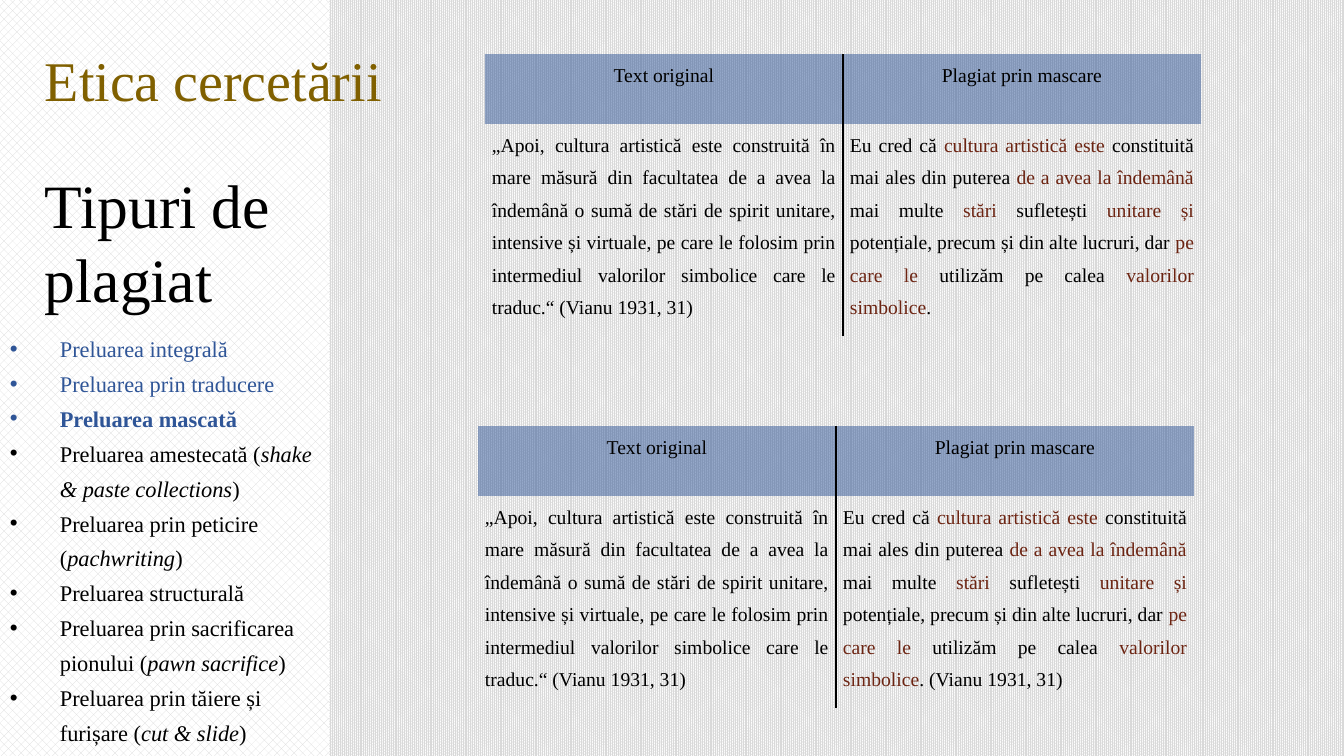
from lxml.etree import SubElement
from pptx import Presentation
from pptx.dml.color import RGBColor
from pptx.enum.dml import MSO_PATTERN as PATTERN
from pptx.enum.shapes import MSO_SHAPE as SHAPE
from pptx.enum.text import PP_ALIGN as ALIGN
from pptx.oxml.ns import qn
from pptx.util import Emu, Pt

FONT = "Times New Roman"
BLACK, BLUE, GOLD, RUST = "000000", "2F5597", "806000", "6C2412"
GREY, WHITE = "D9D9D9", "FFFFFF"
NO_STYLE = "{2D5ABB26-0587-4C30-8999-92F81FD0307C}"

# Asterisks enclose words in italics
TYPES = [
    ("Preluarea integrală", BLUE, False),
    ("Preluarea prin traducere", BLUE, False),
    ("Preluarea mascată", BLUE, True),
    ("Preluarea amestecată (*shake & paste collections*)", BLACK, False),
    ("Preluarea prin peticire (*pachwriting*)", BLACK, False),
    ("Preluarea structurală", BLACK, False),
    ("Preluarea prin sacrificarea pionului (*pawn sacrifice*)", BLACK, False),
    ("Preluarea prin tăiere și furișare (*cut & slide*)", BLACK, False),
]
HEADINGS = ["Text original", "Plagiat prin mascare"]
SOURCE = (
    "„Apoi, cultura artistică este construită în mare măsură din facultatea "
    "de a avea la îndemână o sumă de stări de spirit unitare, intensive și "
    "virtuale, pe care le folosim prin intermediul valorilor simbolice care "
    "le traduc.“ (Vianu 1931, 31)"
)
# Asterisks enclose the borrowed words
MASKED = (
    "Eu cred că *cultura artistică este *constituită mai ales din puterea "
    "*de a avea la îndemână *mai multe *stări* sufletești *unitare și "
    "*potențiale, precum și din alte lucruri, dar *pe care le* utilizăm pe "
    "calea *valorilor simbolice*."
)


def px(n):
    return Emu(round(n * 914400 / 100.8))


def rgb(value):
    return RGBColor.from_string(value)


def set_pattern(fill, preset):
    fill.patterned()
    fill.pattern = PATTERN.from_xml(preset)
    fill.fore_color.rgb = rgb(GREY)
    fill.back_color.rgb = rgb(WHITE)


def write(p, text, size=14, color=BLACK, bold=False, marked_color=None,
          align=ALIGN.LEFT, spacing=None):
    """Marked words take marked_color, or italics when there is none."""
    p.alignment = align
    if spacing:
        p.line_spacing = spacing
    for i, part in enumerate(text.split("*")):
        if not part:
            continue
        marked = i % 2 == 1
        r = p.add_run()
        r.text = part
        r.font.name = FONT
        r.font.size = Pt(size)
        r.font.bold = bold
        r.font.italic = marked and marked_color is None
        r.font.color.rgb = rgb(marked_color if marked and marked_color else color)


def add_text_frame(slide, x, y, w, h):
    tf = slide.shapes.add_textbox(px(x), px(y), px(w), px(h)).text_frame
    tf.word_wrap = True
    return tf


def add_bullet(p, indent):
    pPr = p._p.get_or_add_pPr()
    pPr.set("marL", str(px(indent)))
    pPr.set("indent", str(-px(indent)))
    SubElement(pPr, qn("a:buFont"), typeface="Arial")
    SubElement(pPr, qn("a:buChar"), char="•")


def add_sidebar(slide, x, y, w, h):
    panel = slide.shapes.add_shape(SHAPE.RECTANGLE, px(x), px(y), px(w), px(h))
    panel.shadow.inherit = False
    panel.line.fill.background()
    set_pattern(panel.fill, "pct40")

    # Headings
    tf = add_text_frame(slide, x + 35, y + 164, w - 35, 159)
    write(tf.paragraphs[0], "Tipuri de plagiat", size=44)
    tf = add_text_frame(slide, x + 35, y + 43, 885, 78)
    write(tf.paragraphs[0], "Etica cercetării", size=40, color=GOLD)

    # List of types
    tf = add_text_frame(slide, x, y + 324, w, 431)
    for i, (text, color, bold) in enumerate(TYPES):
        p = tf.add_paragraph() if i else tf.paragraphs[0]
        write(p, text, size=16, color=color, bold=bold, spacing=1.3)
        add_bullet(p, 50)


def add_border(cell, side):
    tcPr = cell._tc.get_or_add_tcPr()
    ln = SubElement(tcPr, qn("a:" + side), w=str(Pt(1)))
    SubElement(SubElement(ln, qn("a:solidFill")), qn("a:srgbClr"), val=BLACK)
    tcPr.insert(0, ln)


def fill_header(cell):
    cell.fill.solid()
    cell.fill.fore_color.rgb = rgb(BLUE)
    color = cell._tc.tcPr.find(".//" + qn("a:srgbClr"))
    SubElement(color, qn("a:alpha"), val="50000")


def add_comparison(slide, x, y, w, heights, masked):
    frame = slide.shapes.add_table(2, 2, px(x), px(y), px(w), px(sum(heights)))
    table = frame.table
    table.first_row = table.horz_banding = False
    table._tbl.tblPr.find(qn("a:tableStyleId")).text = NO_STYLE
    for row, height in zip(table.rows, heights):
        row.height = px(height)

    for i, texts in enumerate([HEADINGS, [SOURCE, masked]]):
        for j, text in enumerate(texts):
            cell = table.cell(i, j)
            cell.margin_left = cell.margin_right = px(7)
            cell.margin_top = cell.margin_bottom = 0
            if i == 0:
                fill_header(cell)
            else:
                cell.fill.background()
            add_border(cell, "lnL" if j else "lnR")
            write(cell.text_frame.paragraphs[0], text, marked_color=RUST,
                  align=ALIGN.JUSTIFY if i else ALIGN.CENTER, spacing=1.5)


def main():
    prs = Presentation()
    prs.slide_width, prs.slide_height = px(1344), px(756)
    slide = prs.slides.add_slide(prs.slide_layouts[6])
    set_pattern(slide.background.fill, "pct90")

    add_sidebar(slide, 0, -2, 329, 758)
    add_comparison(slide, 485, 54, 716, (70, 212), MASKED)
    add_comparison(slide, 478, 426, 716, (70, 212), MASKED + " (Vianu 1931, 31)")
    prs.save("out.pptx")


if __name__ == "__main__":
    main()
